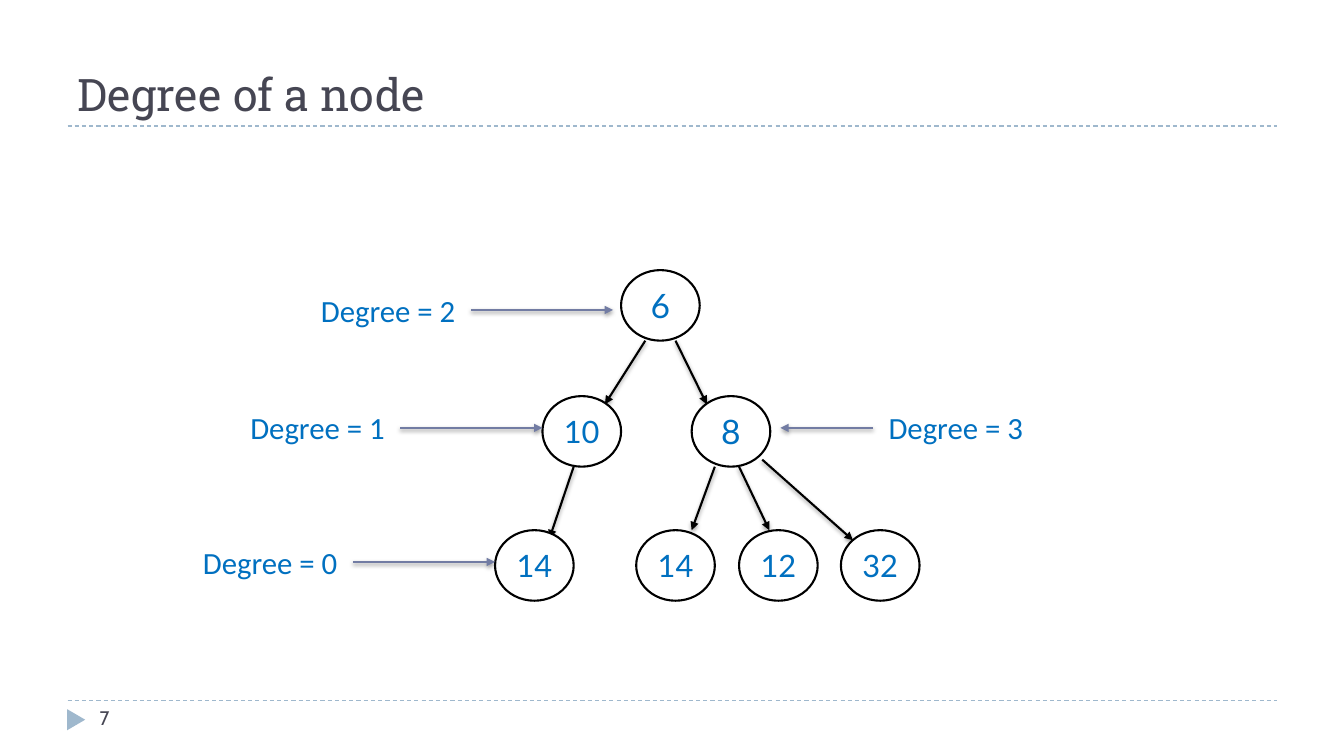
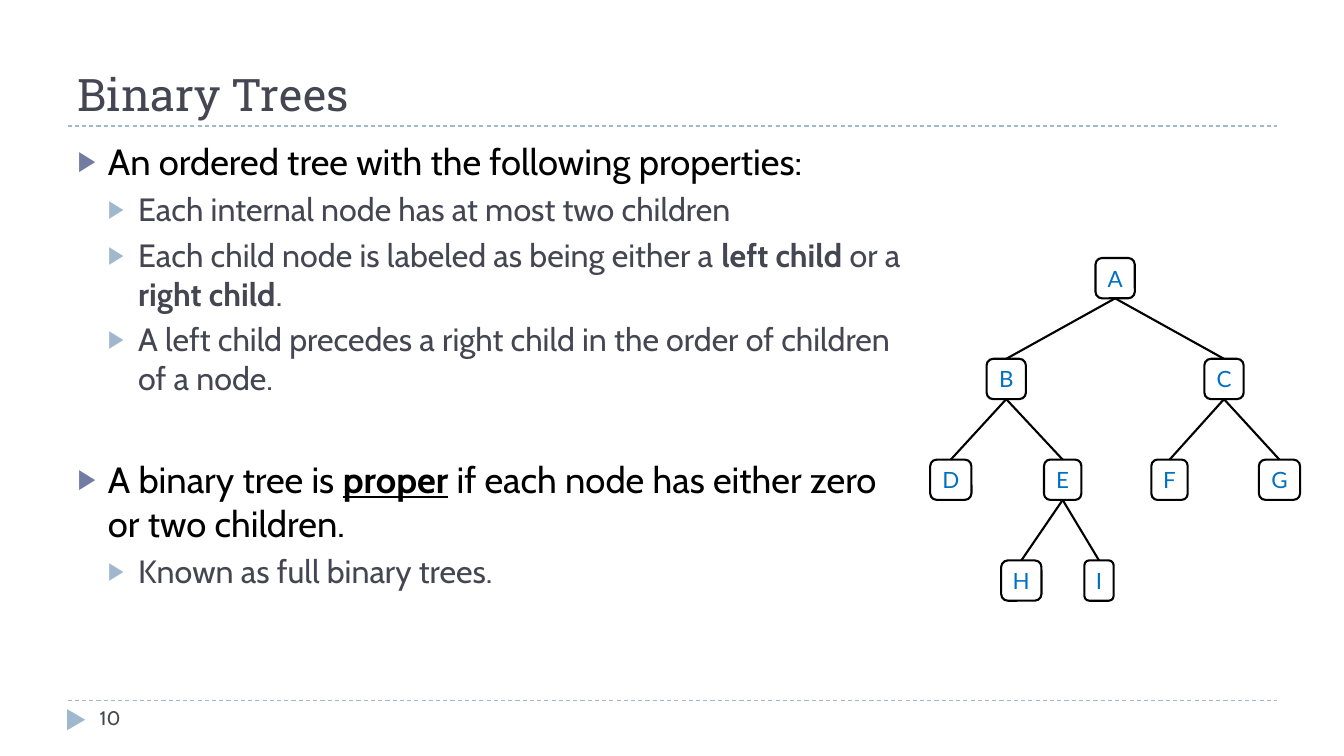
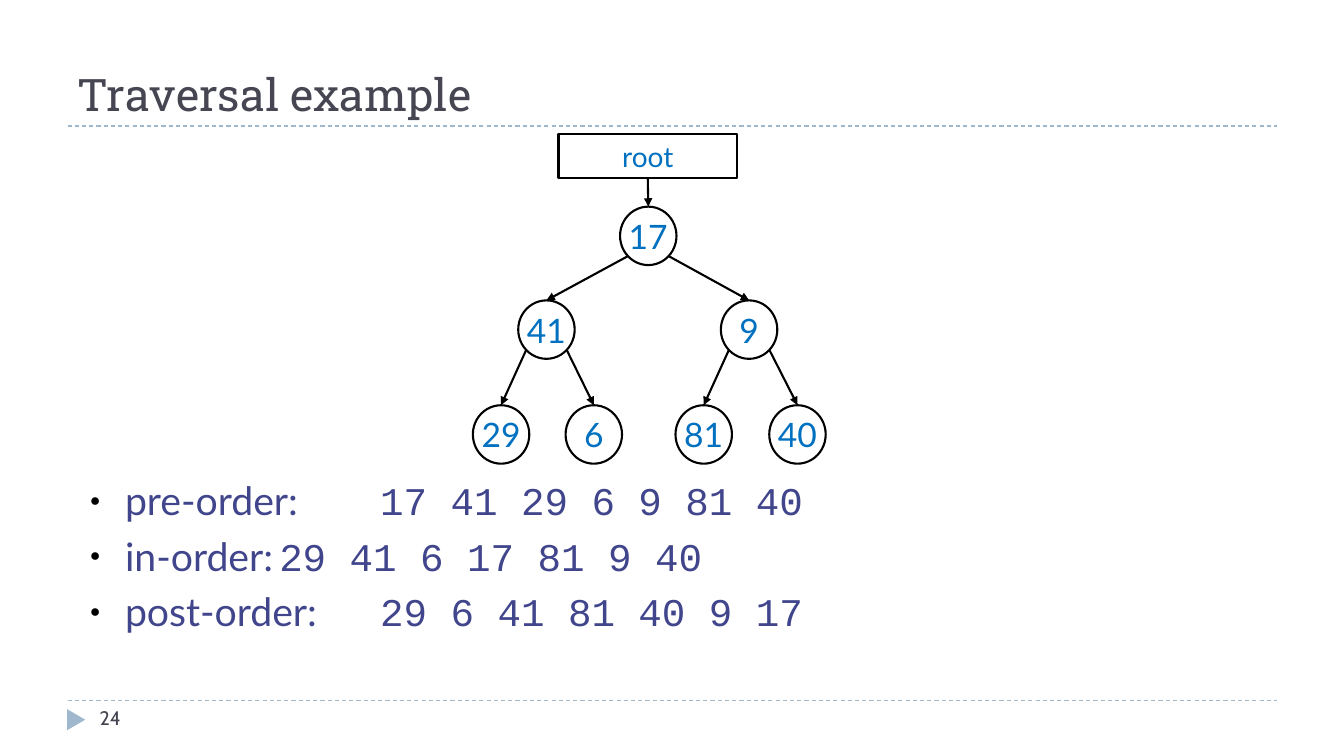
from lxml import etree
from pptx import Presentation
from pptx.dml.color import RGBColor
from pptx.enum.dml import MSO_LINE
from pptx.enum.shapes import MSO_CONNECTOR, MSO_SHAPE
from pptx.enum.text import MSO_ANCHOR, MSO_AUTO_SIZE, PP_ALIGN
from pptx.oxml.ns import qn
from pptx.util import Inches, Pt

STRAIGHT = MSO_CONNECTOR.STRAIGHT
OVAL = MSO_SHAPE.OVAL
ROUNDED = MSO_SHAPE.ROUNDED_RECTANGLE
RECTANGLE = MSO_SHAPE.RECTANGLE
TRIANGLE = MSO_SHAPE.ISOSCELES_TRIANGLE
DASH = MSO_LINE.DASH
LEFT, CENTER = PP_ALIGN.LEFT, PP_ALIGN.CENTER
TOP, MIDDLE, BOTTOM = MSO_ANCHOR.TOP, MSO_ANCHOR.MIDDLE, MSO_ANCHOR.BOTTOM
NO_AUTOFIT = MSO_AUTO_SIZE.NONE

BLACK = RGBColor(0, 0, 0)
WHITE = RGBColor(0xFF, 0xFF, 0xFF)
SLATE = RGBColor(0x46, 0x46, 0x53)
BLUE = RGBColor(0x00, 0x70, 0xC0)
PALE_BLUE = RGBColor(0x9F, 0xB8, 0xCD)
VIOLET = RGBColor(0x72, 0x7C, 0xA3)
INDIGO = RGBColor(0x40, 0x45, 0x8C)

TITLE_FONT, BODY_FONT = "Roboto Slab", "Cabin"
NODE_FONT, LABEL_FONT, CODE_FONT = "Lato", "Calibri", "Courier New"
TITLE_ONLY, TITLE_AND_CONTENT = 5, 1


def place(shape, left, top, width, height):
    shape.left, shape.top = Inches(left), Inches(top)
    shape.width, shape.height = Inches(width), Inches(height)


def set_font(paragraph, size, color, name=None):
    font = paragraph.font
    font.size = Pt(size)
    font.color.rgb = color
    if name:
        font.name = name


def add_line(slide, start, end, color=BLACK, width=1.5, arrow=False, shadow=False):
    line = slide.shapes.add_connector(STRAIGHT, *[Inches(v) for v in (*start, *end)])
    line.line.color.rgb = color
    line.line.width = Pt(width)
    if arrow:
        etree.SubElement(line.line._get_or_add_ln(), qn("a:tailEnd"), type="triangle")
    effects = etree.SubElement(line._element.spPr, qn("a:effectLst"))
    if shadow:
        outer = etree.SubElement(
            effects, qn("a:outerShdw"), blurRad=str(Pt(3.1)), dist=str(Pt(1.6)),
            dir="5400000", rotWithShape="0")
        tint = etree.SubElement(outer, qn("a:srgbClr"), val=str(BLACK))
        etree.SubElement(tint, qn("a:alpha"), val="38000")
    return line


def add_text(slide, text, box, size, color, font, align=LEFT):
    label = slide.shapes.add_textbox(*[Inches(v) for v in box])
    label.text_frame.word_wrap = True
    paragraph = label.text_frame.paragraphs[0]
    paragraph.text = text
    paragraph.alignment = align
    set_font(paragraph, size, color, font)
    return label


def add_node(slide, outline, text, box, size):
    node = slide.shapes.add_shape(outline, *[Inches(v) for v in box])
    node.shadow.inherit = False
    node.fill.solid()
    node.fill.fore_color.rgb = WHITE
    node.line.color.rgb = BLACK
    node.line.width = Pt(1.5)
    frame = node.text_frame
    frame.word_wrap = False
    frame.vertical_anchor = MIDDLE
    paragraph = frame.paragraphs[0]
    paragraph.text = text
    paragraph.alignment = CENTER
    set_font(paragraph, size, BLUE, NODE_FONT)
    return node


def set_bullet(paragraph, char, color, percent, margin, hanging):
    props = paragraph._p.get_or_add_pPr()
    props.set("marL", str(Inches(margin)))
    props.set("indent", str(-Inches(hanging)))
    tint = etree.SubElement(props, qn("a:buClr"))
    etree.SubElement(tint, qn("a:srgbClr"), val=str(color))
    etree.SubElement(props, qn("a:buSzPct"), val=str(percent * 1000))
    etree.SubElement(props, qn("a:buChar"), char=char)


def start_slide(prs, layout, heading, number):
    slide = prs.slides.add_slide(prs.slide_layouts[layout])
    for y in (6.95, 1.25):
        rule = add_line(slide, (0.67, y), (12.67, y), PALE_BLUE, 0.75)
        rule.line.dash_style = DASH
    marker = slide.shapes.add_shape(
        TRIANGLE, Inches(0.65), Inches(7.05), Inches(0.21), Inches(0.18))
    marker.rotation = 90
    marker.shadow.inherit = False
    marker.fill.solid()
    marker.fill.fore_color.rgb = PALE_BLUE
    marker.line.fill.background()

    title = slide.shapes.title
    place(title, 0.67, 0.17, 12, 1.08)
    title.text_frame.text = heading
    title.text_frame.auto_size = NO_AUTOFIT
    title.text_frame.vertical_anchor = BOTTOM
    paragraph = title.text_frame.paragraphs[0]
    paragraph.alignment = LEFT
    set_font(paragraph, 32, SLATE, TITLE_FONT)
    add_text(slide, str(number), (0.89, 6.95, 2.89, 0.4), 14, SLATE, BODY_FONT)
    return slide


def start_body(slide, box):
    body = slide.placeholders[1]
    place(body, *box)
    frame = body.text_frame
    frame.auto_size = NO_AUTOFIT
    frame.vertical_anchor = TOP
    return frame


def next_paragraph(frame, index):
    return frame.add_paragraph() if index else frame.paragraphs[0]


def degree_slide(prs):
    slide = start_slide(prs, TITLE_ONLY, "Degree of a node", 7)
    edges = [
        ((6.4, 3.38), (6, 4.01)), ((6.7, 3.38), (7.01, 4.01)),
        ((5.69, 4.63), (5.45, 5.34)), ((7.09, 4.63), (6.86, 5.26)),
        ((7.33, 4.63), (7.63, 5.26)), ((7.56, 4.56), (8.46, 5.36)),
    ]
    for start, end in edges:
        add_line(slide, start, end, arrow=True, shadow=True)

    nodes = [
        ("6", 6.16, 2.68), ("10", 5.38, 3.93), ("8", 6.86, 3.93),
        ("14", 4.91, 5.26), ("14", 6.31, 5.26), ("12", 7.33, 5.26), ("32", 8.34, 5.26),
    ]
    for text, left, top in nodes:
        add_node(slide, OVAL, text, (left, top, 0.78, 0.7), 24 if len(text) == 1 else 22)

    width, height = 1.64, 0.47
    degrees = [(2, 3.03, 2.84, 6.08), (1, 2.33, 4.01, 5.38),
               (0, 1.86, 5.34, 4.91), (3, 8.66, 4.01, 7.74)]
    for degree, left, top, tip in degrees:
        label = add_text(slide, f"Degree = {degree}", (left, top, width, height),
                         22, BLUE, LABEL_FONT, CENTER)
        start, side = (left + width, 3) if tip > left else (left, 1)
        middle = top + height / 2
        pointer = add_line(slide, (start, middle), (tip, middle), VIOLET,
                           arrow=True, shadow=True)
        pointer.begin_connect(label, side)


def binary_slide(prs):
    slide = start_slide(prs, TITLE_AND_CONTENT, "Binary Trees", 10)
    frame = start_body(slide, (0.67, 1.33, 8.38, 5.4))
    points = [
        (0, 6, [("An ordered tree with the following properties:", False)]),
        (1, 5, [("Each internal node has at most two children", False)]),
        (1, 5, [("Each child node is labeled as being either a ", False),
                ("left child ", True), ("or a ", False),
                ("right child", True), (".", False)]),
        (1, 5, [("A left child precedes a right child in the order of children of a node.",
                 False)]),
        (0, 43, [("A binary tree is ", False), ("proper", True),
                 (" if each node has either zero or two children.", False)]),
        (1, 5, [("Known as full binary trees.", False)]),
    ]
    styles = [(26, BLACK, VIOLET), (23, SLATE, PALE_BLUE)]
    for index, (level, gap, pieces) in enumerate(points):
        size, color, bullet_color = styles[level]
        paragraph = next_paragraph(frame, index)
        paragraph.level = level
        paragraph.space_before = Pt(gap)
        set_bullet(paragraph, "▶", bullet_color, 76, 0.3 * (level + 1), 0.3)
        set_font(paragraph, size, color, BODY_FONT)
        for text, strong in pieces:
            run = paragraph.add_run()
            run.text = text
            if strong:
                run.font.bold = True
                run.font.underline = level == 0

    tree = [
        ("A", None, 11.06, 0, 0.39), ("B", "A", 9.98, 1, 0.39), ("C", "A", 12.14, 1, 0.39),
        ("D", "B", 9.43, 2, 0.41), ("E", "B", 10.54, 2, 0.37),
        ("F", "C", 11.6, 2, 0.36), ("G", "C", 12.69, 2, 0.41),
        ("H", "E", 10.13, 3, 0.4), ("I", "E", 10.9, 3, 0.29),
    ]
    nodes = {}
    for letter, parent, center, depth, width in tree:
        box = (center - width / 2, 2.56 + depth, width, 0.4)
        nodes[letter] = add_node(slide, ROUNDED, letter, box, 16)
        if parent:
            edge = add_line(slide, (center, 2.56), (center, 2.56 + depth))
            edge.begin_connect(nodes[parent], 2)
            edge.end_connect(nodes[letter], 0)


def traversal_slide(prs):
    slide = start_slide(prs, TITLE_AND_CONTENT, "Traversal example", 24)
    frame = start_body(slide, (0.67, 4.68, 12, 2.06))
    orders = [("pre-order:", "17 41 29 6 9 81 40"),
              ("in-order:", "29 41 6 17 81 9 40"),
              ("post-order:", "29 6 41 81 40 9 17")]
    for index, (order, visits) in enumerate(orders):
        paragraph = next_paragraph(frame, index)
        paragraph.space_before = Pt(6)
        set_bullet(paragraph, "●", BLACK, 45, 0.47, 0.35)
        paragraph._p.get_or_add_pPr().set("defTabSz", str(Inches(1)))
        set_font(paragraph, 28, INDIGO)
        for text, font in ((order + "\t", NODE_FONT), (visits, CODE_FONT)):
            run = paragraph.add_run()
            run.text = text
            run.font.name = font

    width, height = 0.56, 0.58
    tree = [
        ("17", None, 6.43, 2.05), ("41", "17", 5.42, 2.98), ("9", "17", 7.43, 2.98),
        ("29", "41", 4.97, 4.02), ("6", "41", 5.89, 4.02),
        ("81", "9", 6.98, 4.02), ("40", "9", 7.91, 4.02),
    ]
    nodes, spots = {}, {}
    for text, parent, center, top in tree:
        box = (center - width / 2, top, width, height)
        nodes[text] = add_node(slide, OVAL, text, box, 24)
        spots[text] = (center, top)
        if parent:
            parent_center, parent_top = spots[parent]
            side = -1 if center < parent_center else 1
            start = (parent_center + side * 0.2, parent_top + 0.49)
            edge = add_line(slide, start, (center, top), arrow=True)
            edge.end_connect(nodes[text], 0)

    root = add_node(slide, RECTANGLE, "root", (5.54, 1.33, 1.77, 0.44), 20)
    link = add_line(slide, (6.43, 1.77), spots["17"], arrow=True)
    link.begin_connect(root, 2)
    link.end_connect(nodes["17"], 0)


def main():
    prs = Presentation()
    prs.slide_width, prs.slide_height = Inches(13.33), Inches(7.5)
    degree_slide(prs)
    binary_slide(prs)
    traversal_slide(prs)
    prs.save("out.pptx")


if __name__ == "__main__":
    main()
